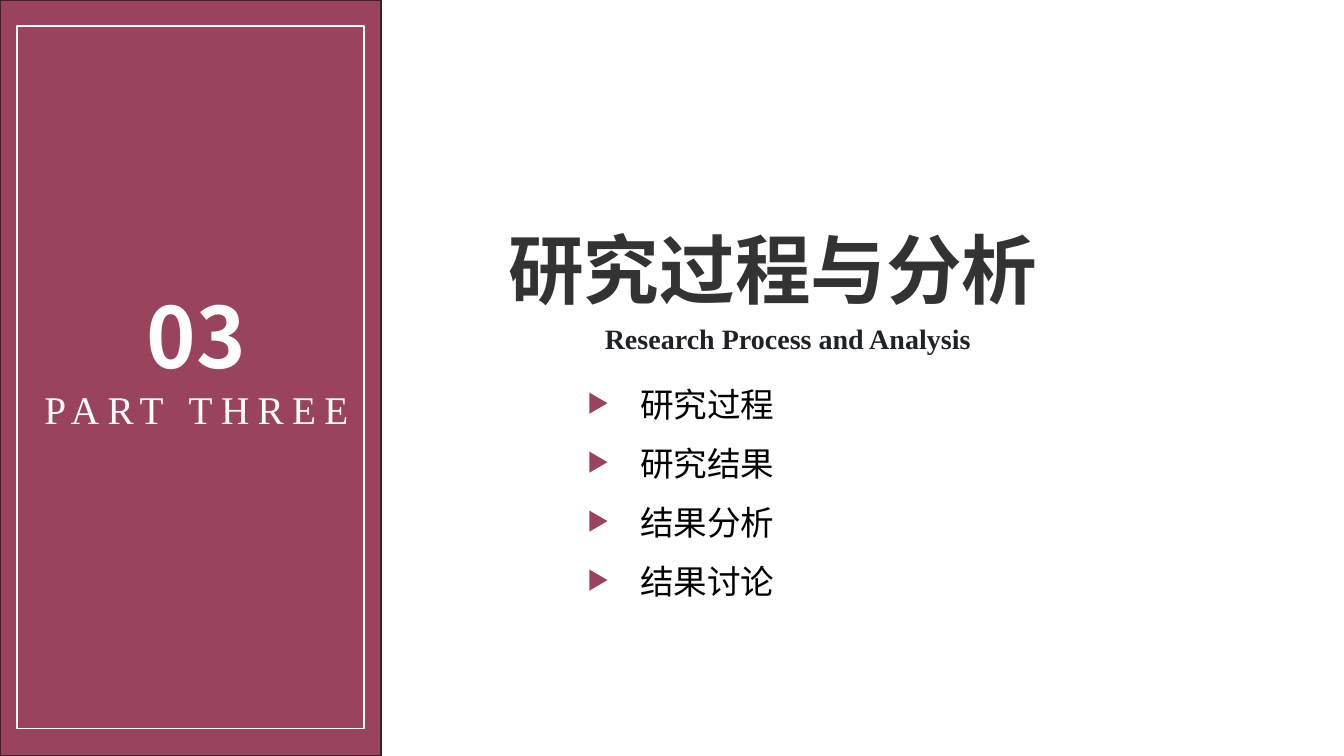
"""Build the section slide for part three, research process and analysis."""
import pptx
import pptx.dml.color
import pptx.enum.shapes
import pptx.enum.text
import pptx.oxml.ns
import pptx.util
from lxml import etree

Inches = pptx.util.Inches
Pt = pptx.util.Pt
SHAPE = pptx.enum.shapes.MSO_SHAPE
ALIGN = pptx.enum.text.PP_ALIGN
qn = pptx.oxml.ns.qn

COLORS = {"wine": "99445C", "edge": "431E28", "white": "FFFFFF",
          "title": "333333", "subtitle": "1F2328", "black": "000000"}
SANS = "Noto Sans CJK SC"
SERIF = "Times New Roman"


def add_shape(kind, box, fill=None, line=None):
    sp = s.shapes.add_shape(kind, *map(Inches, box))
    sp.shadow.inherit = False
    if fill:
        sp.fill.solid()
        sp.fill.fore_color.rgb = pptx.dml.color.RGBColor.from_string(COLORS[fill])
    else:
        sp.fill.background()
    if line:
        sp.line.color.rgb = pptx.dml.color.RGBColor.from_string(COLORS[line])
        sp.line.width = Pt(1)
    else:
        sp.line.fill.background()
    return sp


def add_run(p, text, size, font, color, bold=False):
    r = p.add_run()
    r.text = text
    r.font.size = Pt(size)
    r.font.bold = bold
    r.font.name = font
    r.font.color.rgb = pptx.dml.color.RGBColor.from_string(COLORS[color])
    etree.SubElement(r.font._element, qn("a:ea"), typeface=font)
    return r


prs = pptx.Presentation()
prs.slide_width = Inches(13.33)
prs.slide_height = Inches(7.5)
s = prs.slides.add_slide(prs.slide_layouts[5])

add_shape(SHAPE.RECTANGLE, (0, 0, 3.78, 7.5), "wine", "edge")
add_shape(SHAPE.RECTANGLE, (0.17, 0.26, 3.44, 6.97), line="white")

tf = s.shapes.add_textbox(Inches(0.28), Inches(3.08), Inches(3.34), Inches(1.27)).text_frame
tf.word_wrap = False
p = tf.paragraphs[0]
p.alignment = ALIGN.CENTER
p.line_spacing = Pt(50)
add_run(p, "03", 60, SANS, "white", True)
p = tf.add_paragraph()
p.alignment = ALIGN.CENTER
r = add_run(p, "PART THREE", 28, SERIF, "white")
r.font._element.set("spc", "600")

title = s.shapes.title
title.left, title.top, title.width, title.height = map(Inches, (4.94, 2.16, 6.67, 1.01))
tf = title.text_frame
tf.word_wrap = True
tf.auto_size = pptx.enum.text.MSO_AUTO_SIZE.NONE
tf.vertical_anchor = pptx.enum.text.MSO_ANCHOR.TOP
p = tf.paragraphs[0]
p.alignment = ALIGN.LEFT
add_run(p, "研究过程与分析", 54, SANS, "title", True)

tf = s.shapes.add_textbox(Inches(5.9), Inches(3.14), Inches(3.86), Inches(0.44)).text_frame
tf.word_wrap = False
add_run(tf.paragraphs[0], "Research Process and Analysis", 20, SERIF, "subtitle", True)

for i, topic in enumerate(["研究过程", "研究结果", "结果分析", "结果讨论"]):
    top = 3.72 + 0.585 * i
    marker = add_shape(SHAPE.ISOSCELES_TRIANGLE, (5.83, top + 0.19, 0.21, 0.18), "wine")
    marker.rotation = 90
    tf = s.shapes.add_textbox(Inches(6.25), Inches(top), Inches(2.99), Inches(0.52)).text_frame
    tf.word_wrap = True
    p = tf.paragraphs[0]
    p.line_spacing = 1.1
    add_run(p, topic, 24, SANS, "black")

prs.save("out.pptx")
